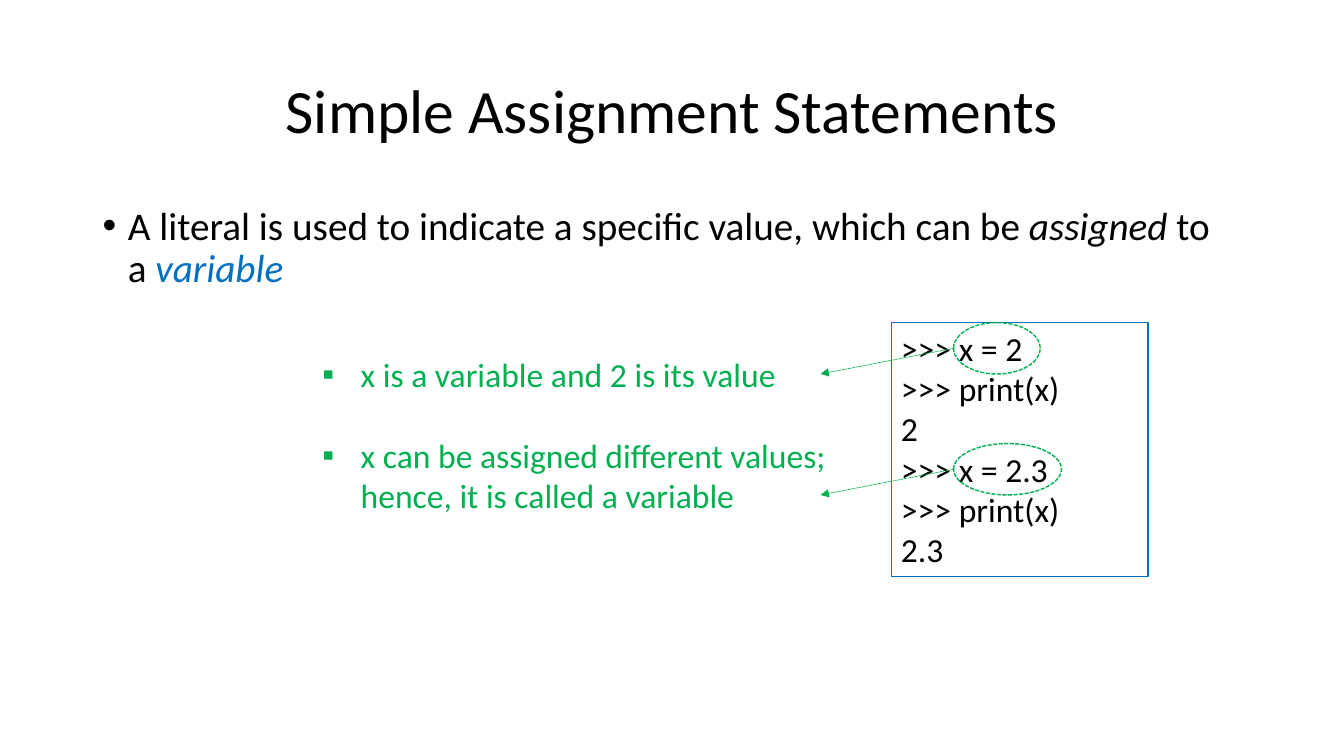
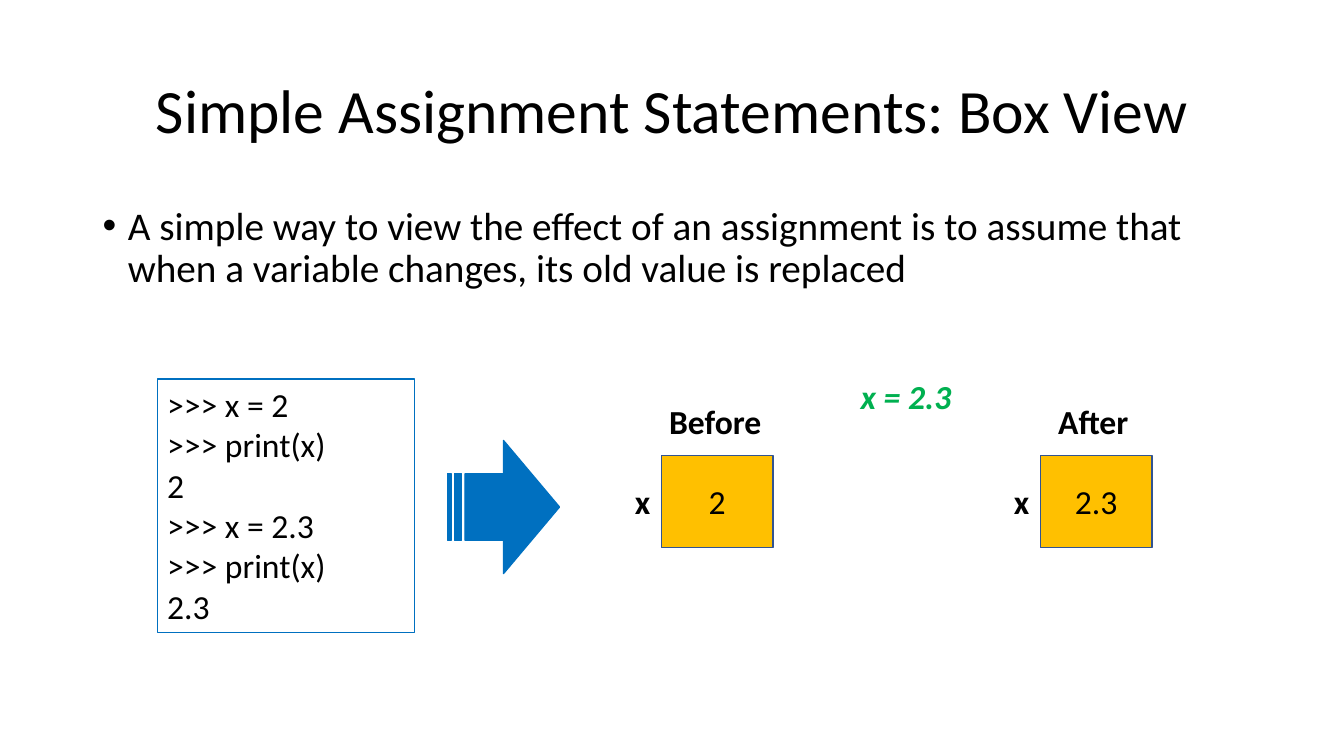
from pptx import Presentation
from pptx.dml.color import RGBColor
from pptx.enum.dml import MSO_LINE
from pptx.enum.shapes import MSO_CONNECTOR, MSO_SHAPE
from pptx.enum.text import MSO_ANCHOR, MSO_AUTO_SIZE, PP_ALIGN
from pptx.oxml.ns import qn
from pptx.util import Inches, Pt
from lxml.etree import SubElement

WIDE, HIGH = Inches(13.33), Inches(7.5)
FONT = "Calibri"
HUES = {"ink": "000000", "blue": "0070C0", "green": "00B050",
        "gold": "FFC000", "edge": "325491"}

# Shared layout, in percent of the slide's width and height
TITLE = (6.9, 5.33, 86.25, 19.33)
BODY = (6.9, 26.67, 88.65, 68.4)
CODE_W, CODE_H = 19.12, 33.6
ROW = 16 / 3  # one line of code
CODE = [">>> x = 2", ">>> print(x)", "2",
        ">>> x = 2.3", ">>> print(x)", "2.3"]


def hue(name):
    return RGBColor.from_string(HUES[name])


def place(x, y, w, h):
    """Turn percent of the slide into lengths."""
    return [round(part * full / 100)
            for part, full in zip((x, y, w, h), (WIDE, HIGH) * 2)]


def mark(para, char, indent):
    """Give a paragraph a bullet with a hanging indent."""
    props = para._p.get_or_add_pPr()
    props.set("marL", str(Inches(indent)))
    props.set("indent", str(-Inches(indent)))
    SubElement(props, qn("a:buFont")).set("typeface", "Arial")
    SubElement(props, qn("a:buChar")).set("char", char)


def write(shape, paras, size=24, color="ink", bold=None, italic=None,
          align=PP_ALIGN.LEFT, anchor=MSO_ANCHOR.TOP, wrap=True,
          bullet=None, indent=0, lead=None, gap=0):
    """Fill a shape; a paragraph is a string or a list of (text, format)."""
    frame = shape.text_frame
    frame.word_wrap = wrap
    frame.auto_size = MSO_AUTO_SIZE.NONE
    frame.vertical_anchor = anchor
    for i, item in enumerate(paras):
        para = frame.add_paragraph() if i else frame.paragraphs[0]
        if bullet:
            mark(para, bullet, indent)
        para.alignment = align
        para.line_spacing = lead
        para.space_before = Pt(gap if i else 0)
        for text, form in [(item, {})] if isinstance(item, str) else item:
            for j, line in enumerate(text.split("\n")):
                if j:
                    para.add_line_break()
                run = para.add_run()
                run.text = line
                font = run.font
                font.name, font.size = FONT, Pt(size)
                font.bold = bold
                font.italic = form.get("italic", italic)
                font.color.rgb = hue(form.get("color", color))


def label(slide, area, paras, **form):
    write(slide.shapes.add_textbox(*place(*area)), paras, **form)


def draw(slide, kind, area, line, fill=None, width=1, dash=None):
    shape = slide.shapes.add_shape(kind, *place(*area))
    shape.shadow.inherit = False
    if fill:
        shape.fill.solid()
        shape.fill.fore_color.rgb = hue(fill)
    else:
        shape.fill.background()
    shape.line.color.rgb = hue(line)
    shape.line.width = Pt(width)
    if dash:
        shape.line.dash_style = dash
    return shape


def arrow(slide, x1, y1, x2, y2):
    """Draw a thin dotted arrow."""
    link = slide.shapes.add_connector(MSO_CONNECTOR.STRAIGHT,
                                      *place(x1, y1, x2, y2))
    link.line.color.rgb = hue("green")
    link.line.width = Pt(0.5)
    link.line.dash_style = MSO_LINE.SQUARE_DOT
    SubElement(link.line._get_or_add_ln(), qn("a:tailEnd")).set("type", "triangle")
    SubElement(link._element.spPr, qn("a:effectLst"))


def start(deck, title, body):
    """Add a slide with its title and main point."""
    slide = deck.slides.add_slide(deck.slide_layouts[5])
    head = slide.shapes.title
    head.left, head.top, head.width, head.height = place(*TITLE)
    write(head, [title], size=44, align=PP_ALIGN.CENTER,
          anchor=MSO_ANCHOR.MIDDLE, lead=0.9)
    label(slide, BODY, [body], size=28, bullet="•", indent=0.25, lead=0.9)
    return slide


def code(slide, x, y):
    box = draw(slide, MSO_SHAPE.RECTANGLE, (x, y, CODE_W, CODE_H),
               "blue", width=0.75)
    write(box, CODE)


def ring(slide, x, y, w):
    """Circle a statement and point from it to its note."""
    h = 6.8
    draw(slide, MSO_SHAPE.OVAL, (x, y, w, h), "green", dash=MSO_LINE.SQUARE_DOT)
    arrow(slide, x, y + h / 2, x - 9.9, y + h)


def cell(slide, x, value, state, shift, w):
    """Draw a variable's box with its name and state."""
    top = 60.27
    box = draw(slide, MSO_SHAPE.RECTANGLE, (x, top, 8.33, 12.13),
               "edge", fill="gold")
    write(box, [value], align=PP_ALIGN.CENTER, anchor=MSO_ANCHOR.MIDDLE)
    label(slide, (x + shift, 52.4, w, 6.67), [state], bold=True, wrap=False)
    label(slide, (x - 2.7, 62.93, 2.7, 6.67), ["x"], bold=True, wrap=False)


def assign(deck):
    slide = start(deck, "Simple Assignment Statements", [
        ("A literal is used to indicate a specific value, which can be ", {}),
        ("assigned", {"italic": True}),
        (" to \na ", {}),
        ("variable", {"italic": True, "color": "blue"})])
    left, top = 66.3, 42.67
    code(slide, left, top)
    for row, w in ((0, 6.45), (3, 8.03)):
        ring(slide, left + 4.65, top + row * ROW, w)
    label(slide, (23.25, 46.13, 39.9, 23),
          ["x is a variable and 2 is its value",
           "x can be assigned different values; \nhence, it is called a variable"],
          color="green", wrap=False, bullet="▪", indent=0.38, gap=29)


def boxes(deck):
    slide = start(deck, "Simple Assignment Statements: Box View",
                  "A simple way to view the effect of an assignment is to "
                  "assume that when a variable changes, its old value is replaced")
    code(slide, 11.7, 50.13)
    draw(slide, MSO_SHAPE.STRIPED_RIGHT_ARROW, (33.3, 58.27, 8.33, 17.6),
         "blue", fill="blue")
    cell(slide, 49.2, "2", "Before", -0.15, 8.48)
    label(slide, (63.3, 49.07, 8.25, 6.67), ["x = 2.3"], color="green",
          bold=True, italic=True, wrap=False)
    cell(slide, 77.4, "2.3", "After", 0.6, 6.83)


def main():
    deck = Presentation()
    deck.slide_width, deck.slide_height = WIDE, HIGH
    assign(deck)
    boxes(deck)
    deck.save("out.pptx")


if __name__ == "__main__":
    main()
